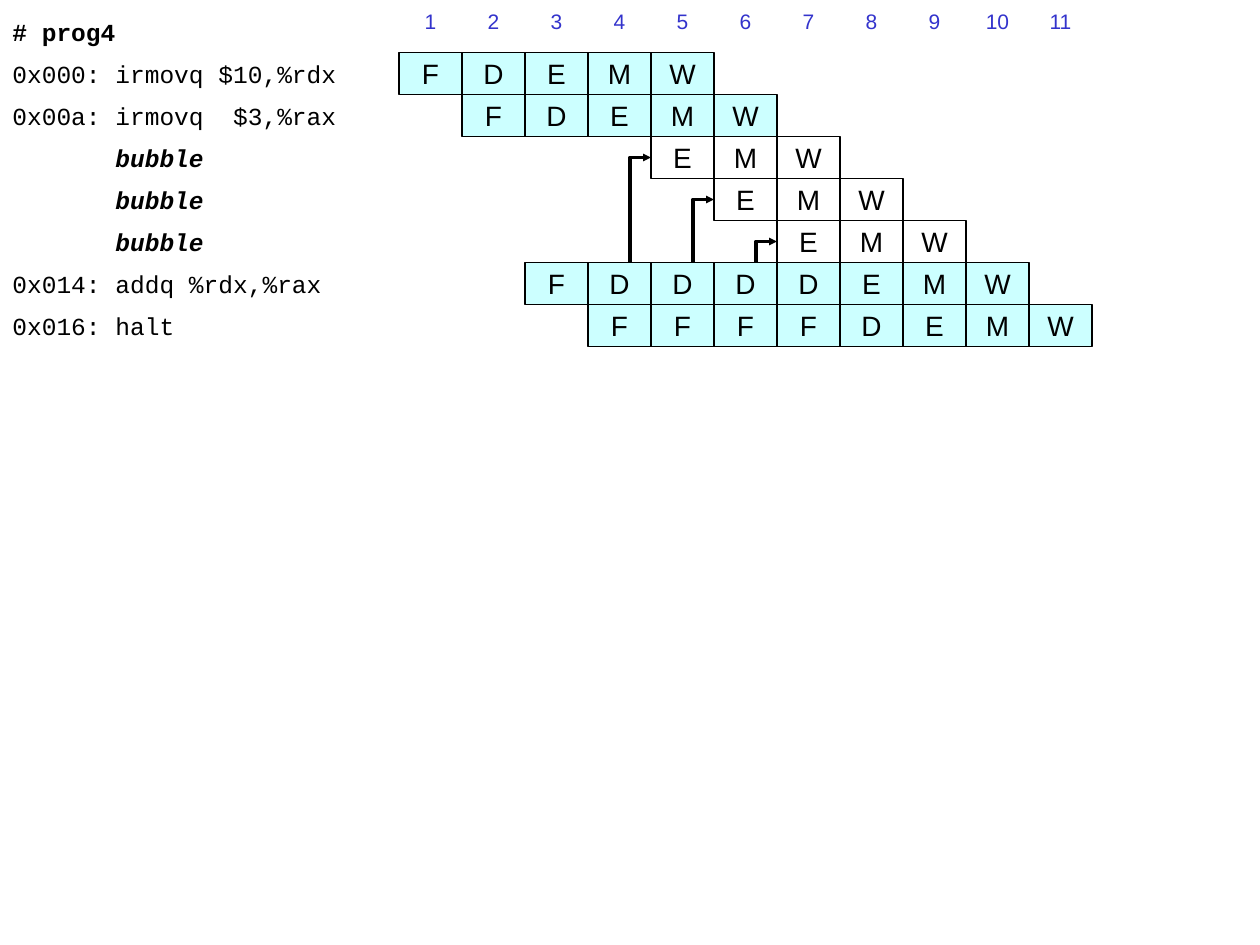
from dataclasses import dataclass

from lxml import etree
from pptx import Presentation
from pptx.dml.color import RGBColor
from pptx.enum.shapes import MSO_SHAPE
from pptx.enum.text import MSO_ANCHOR, PP_ALIGN
from pptx.oxml.ns import qn
from pptx.util import Inches, Pt

RECT = MSO_SHAPE.RECTANGLE
MIDDLE = MSO_ANCHOR.MIDDLE
LEFT, CENTER = PP_ALIGN.LEFT, PP_ALIGN.CENTER


@dataclass(frozen=True)
class Theme:
    ink: RGBColor = RGBColor(0, 0, 0)
    paper: RGBColor = RGBColor(255, 255, 255)
    stage: RGBColor = RGBColor(0xCC, 0xFF, 0xFF)
    cycle: RGBColor = RGBColor(0x33, 0x33, 0xCC)
    sans: str = "Arial"
    mono: str = "Courier New"
    cycle_size: int = 12
    code_size: int = 14
    stage_size: int = 16
    border: float = 1
    arrow: float = 2.25


class PipelineDiagram:
    COL, ROW = 1 / 2, 1 / 3
    LEFT_EDGE, TOP_EDGE = 19 / 6, 5 / 12
    CODE_COLS = 17 / 3

    def __init__(self, slide, theme):
        self.s = slide
        self.theme = theme

    def x(self, col):
        return Inches(self.LEFT_EDGE + col * self.COL)

    def y(self, row):
        return Inches(self.TOP_EDGE + row * self.ROW)

    def box(self, text, left, top, cols, fill, size, color, font, align=CENTER):
        sp = self.s.shapes.add_shape(
            RECT, left, top, Inches(cols * self.COL), Inches(self.ROW))
        sp.shadow.inherit = False
        sp.fill.solid()
        sp.fill.fore_color.rgb = fill
        sp.line.fill.background()
        tf = sp.text_frame
        tf.word_wrap = False
        tf.vertical_anchor = MIDDLE
        p = tf.paragraphs[0]
        p.text = text
        p.alignment = align
        p.font.name = font
        p.font.size = Pt(size)
        p.font.color.rgb = color
        return sp

    def cycle(self, number):
        t = self.theme
        self.box(str(number), self.x(number - 1), 0, 1,
                 t.paper, t.cycle_size, t.cycle, t.sans)

    def code(self, text, row, bold=False, italic=False):
        t = self.theme
        sp = self.box(text, 0, self.y(row), self.CODE_COLS,
                      t.paper, t.code_size, t.ink, t.mono, LEFT)
        font = sp.text_frame.paragraphs[0].font
        font.bold, font.italic = bold, italic

    def stages(self, letters, row, first_col, fill):
        t = self.theme
        for col, letter in enumerate(letters, first_col):
            sp = self.box(letter, self.x(col), self.y(row), 1,
                          fill, t.stage_size, t.ink, t.sans)
            sp.line.color.rgb = t.ink
            sp.line.width = Pt(t.border)

    def arrow(self, from_row, to_row, to_col):
        start, middle = self.x(to_col - 1 / 3), self.y(to_row + 1 / 2)
        builder = self.s.shapes.build_freeform(start, self.y(from_row))
        builder.add_line_segments(
            [(start, middle), (self.x(to_col), middle)], close=False)
        sp = builder.convert_to_shape()
        sp.shadow.inherit = False
        sp.fill.background()
        sp.line.color.rgb = self.theme.ink
        sp.line.width = Pt(self.theme.arrow)
        ln = sp.line._get_or_add_ln()
        etree.SubElement(ln, qn("a:tailEnd"), type="triangle", w="sm", len="sm")


CYCLES = 11
STALLED_ROW = 5
BUBBLE = "       bubble"
PROGRAM = [
    ("0x000: irmovq $10,%rdx", "FDEMW", 0),
    ("0x00a: irmovq  $3,%rax", "FDEMW", 1),
    (BUBBLE, "EMW", 4),
    (BUBBLE, "EMW", 5),
    (BUBBLE, "EMW", 6),
    ("0x014: addq %rdx,%rax", "FDDDDEMW", 2),
    ("0x016: halt", "FFFFDEMW", 3),
]


def main():
    prs = Presentation()
    prs.slide_width, prs.slide_height = Inches(10), Inches(7.5)
    theme = Theme()
    diagram = PipelineDiagram(prs.slides.add_slide(prs.slide_layouts[6]), theme)

    for number in range(1, CYCLES + 1):
        diagram.cycle(number)
    diagram.code("# prog4", -1, bold=True)
    for row, (text, letters, first_col) in enumerate(PROGRAM):
        bubble = text == BUBBLE
        diagram.code(text, row, bold=bubble, italic=bubble)
        diagram.stages(letters, row, first_col,
                       theme.paper if bubble else theme.stage)
        if bubble:
            diagram.arrow(STALLED_ROW, row, first_col)

    prs.save("out.pptx")


if __name__ == "__main__":
    main()
